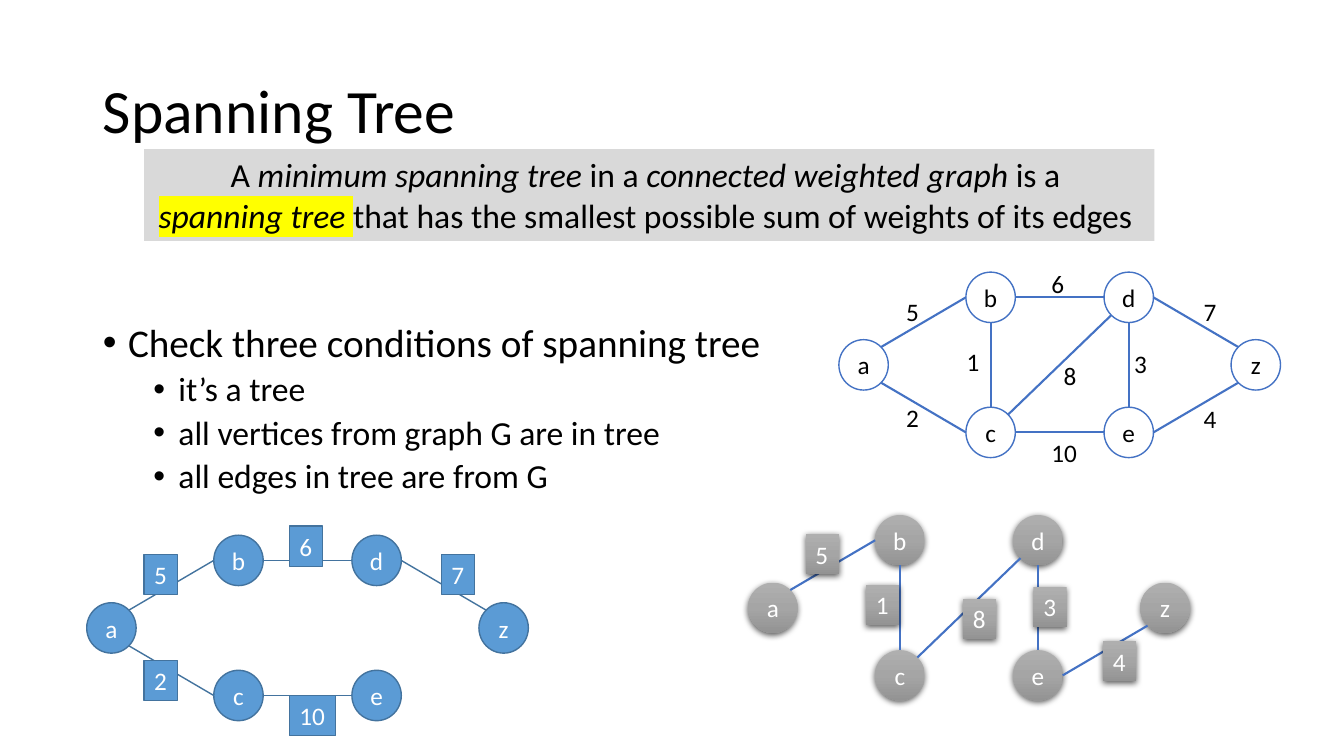
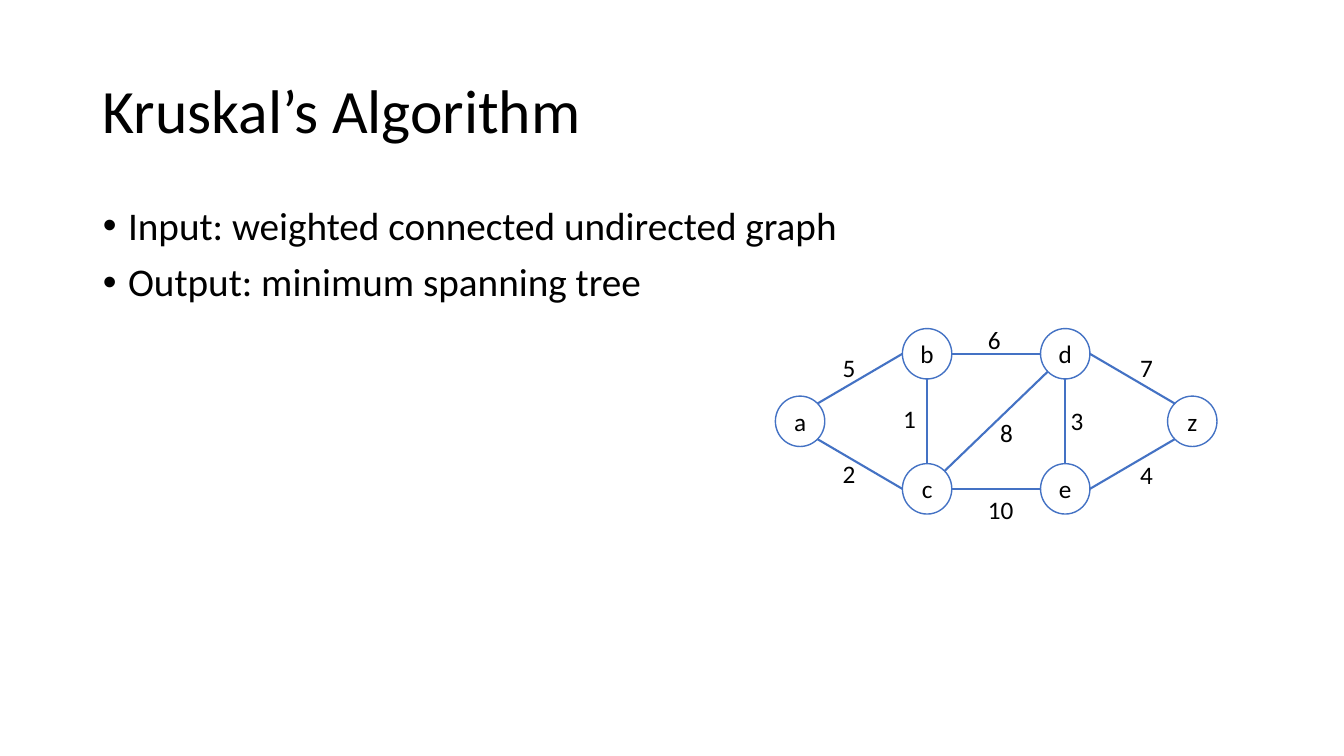
from dataclasses import dataclass
from math import sqrt

from lxml.etree import SubElement
from pptx import Presentation
from pptx.dml.color import RGBColor
from pptx.enum.shapes import MSO_CONNECTOR as Connector, MSO_SHAPE as Shape
from pptx.enum.text import MSO_ANCHOR as Anchor, MSO_AUTO_SIZE as AutoSize, PP_ALIGN as Align
from pptx.oxml.ns import qn
from pptx.util import Inches, Pt

FONT = "Calibri"
BLACK, WHITE, BLUE = "000000", "FFFFFF", "4472C4"
SKY, STEEL, BAND, YELLOW = "5B9BD5", "43739E", "D9D9D9", "FFFF00"
GREYS = {0: "AFAFAF", 50: "A5A5A5", 100: "939393"}

NODE_W, NODE_H = 0.49, 0.5
LABEL_H = 0.4
COLUMNS = (0, 1.26, 2.63, 3.89)
ROWS = (0, 0.67, 1.34)
NODES = {"a": (0, 1), "c": (1, 2), "b": (1, 0), "d": (2, 0), "e": (2, 2), "z": (3, 1)}

DIAGONAL = 1 / sqrt(2)
SITES = {
    "top": (0, -1), "bottom": (0, 1), "left": (-1, 0), "right": (1, 0),
    "top left": (-DIAGONAL, -DIAGONAL), "top right": (DIAGONAL, -DIAGONAL),
    "bottom left": (-DIAGONAL, DIAGONAL), "bottom right": (DIAGONAL, DIAGONAL),
}
EDGES = {
    "bc": ("bottom", "top", "1", 1.17, 0.69),
    "de": ("bottom", "top", "3", 2.83, 0.71),
    "bd": ("right", "left", "6", 2.01, -0.09),
    "ce": ("right", "left", "10", 2.01, 1.59),
    "ab": ("top right", "left", "5", 0.57, 0.19),
    "ac": ("bottom right", "left", "2", 0.57, 1.24),
    "cd": ("top right", "bottom left", "8", 2.13, 0.83),
    "dz": ("right", "top left", "7", 3.52, 0.19),
    "ez": ("right", "bottom left", "4", 3.52, 1.25),
}


@dataclass(frozen=True)
class GraphStyle:
    node_fill: str | None
    outline: str | None
    edge: str
    edge_width: float
    text: str
    boxed_labels: bool


PLAIN = GraphStyle(WHITE, BLUE, BLUE, 1.5, BLACK, False)
FLAT = GraphStyle(SKY, STEEL, STEEL, 1, WHITE, True)
RAISED = GraphStyle(None, None, BLUE, 1.5, WHITE, True)


def rgb(value):
    return RGBColor.from_string(value)


def place(*lengths):
    return [Inches(length) for length in lengths]


def add_run(paragraph, text, size, color=BLACK, italic=None, highlight=None):
    run = paragraph.add_run()
    run.text = text
    run.font.size = Pt(size)
    run.font.name = FONT
    run.font.italic = italic
    run.font.color.rgb = rgb(color)
    if highlight:
        props = run.font._element
        mark = SubElement(props, qn("a:highlight"))
        SubElement(mark, qn("a:srgbClr"), val=highlight)
        props.find(qn("a:solidFill")).addnext(mark)


def set_bullet(paragraph, level):
    props = paragraph._p.get_or_add_pPr()
    props.set("marL", str(Inches(0.25 + 0.5 * level)))
    props.set("indent", str(Inches(-0.25)))
    SubElement(props, qn("a:buFont"), typeface="Arial")
    SubElement(props, qn("a:buChar"), char="•")


def raise_surface(shape):
    shape.fill.gradient()
    shape.fill.gradient_angle = 270
    properties = shape._element.spPr
    stops = properties.find(qn("a:gradFill")).find(qn("a:gsLst"))
    for stop in list(stops):
        stops.remove(stop)
    for percent, color in GREYS.items():
        stop = SubElement(stops, qn("a:gs"), pos=str(percent * 1000))
        SubElement(stop, qn("a:srgbClr"), val=color)
    shadow = SubElement(properties.find(qn("a:effectLst")), qn("a:outerShdw"),
                        blurRad=str(Pt(4.5)), dist=str(Pt(1.5)), dir="5400000",
                        algn="ctr", rotWithShape="0")
    color = SubElement(shadow, qn("a:srgbClr"), val=BLACK)
    SubElement(color, qn("a:alpha"), val="63000")


def paint(shape, style):
    shape.shadow.inherit = False
    if style.outline:
        shape.line.color.rgb = rgb(style.outline)
        shape.line.width = Pt(1)
    else:
        shape.line.fill.background()
    if style.node_fill:
        shape.fill.solid()
        shape.fill.fore_color.rgb = rgb(style.node_fill)
    else:
        raise_surface(shape)


def add_node(shapes, letter, left, top, style):
    node = shapes.add_shape(Shape.OVAL, *place(left, top, NODE_W, NODE_H))
    paint(node, style)
    node.text_frame.vertical_anchor = Anchor.MIDDLE
    paragraph = node.text_frame.paragraphs[0]
    paragraph.alignment = Align.CENTER
    add_run(paragraph, letter, 18, style.text)


def add_edge(shapes, start, end, style):
    edge = shapes.add_connector(Connector.STRAIGHT, *place(*start, *end))
    edge.line.color.rgb = rgb(style.edge)
    edge.line.width = Pt(style.edge_width)
    SubElement(edge._element.spPr, qn("a:effectLst"))


def add_weight(shapes, weight, left, top, style):
    width = 0.2 + 0.13 * len(weight)
    label = shapes.add_textbox(*place(left, top, width, LABEL_H))
    if style.boxed_labels:
        paint(label, style)
    label.text_frame.word_wrap = False
    label.text_frame.auto_size = AutoSize.SHAPE_TO_FIT_TEXT
    add_run(label.text_frame.paragraphs[0], weight, 18, style.text)


def add_graph(slide, left, top, style, edges=tuple(EDGES)):
    shapes = slide.shapes.add_group_shape().shapes
    corners = {letter: (left + COLUMNS[column], top + ROWS[row])
               for letter, (column, row) in NODES.items()}

    def site(letter, side):
        x, y = corners[letter]
        across, down = SITES[side]
        return x + NODE_W / 2 * (1 + across), y + NODE_H / 2 * (1 + down)

    for letter, corner in corners.items():
        add_node(shapes, letter, *corner, style)
    for edge in edges:
        start_side, end_side, *_ = EDGES[edge]
        add_edge(shapes, site(edge[0], start_side), site(edge[1], end_side), style)
    for edge in edges:
        *_, weight, x, y = EDGES[edge]
        add_weight(shapes, weight, left + x, top + y, style)


def move(placeholder, *bounds):
    placeholder.left, placeholder.top, placeholder.width, placeholder.height = place(*bounds)
    placeholder.text_frame.auto_size = AutoSize.NONE


def add_topic_slide(prs, heading, points, points_top=2):
    slide = prs.slides.add_slide(prs.slide_layouts[1])
    title, body = slide.placeholders
    move(title, 0.92, 0.4, 11.5, 1.45)
    title.text_frame.vertical_anchor = Anchor.MIDDLE
    line = title.text_frame.paragraphs[0]
    line.alignment = Align.LEFT
    line.line_spacing = 0.9
    add_run(line, heading, 44)

    move(body, 0.92, points_top, 11.5, 6.76 - points_top)
    for index, (level, text) in enumerate(points):
        frame = body.text_frame
        point = frame.add_paragraph() if index else frame.paragraphs[0]
        point.level = level
        point.line_spacing = 0.9
        point.space_before = Pt(5 if level else 10)
        point.space_after = Pt(0)
        set_bullet(point, level)
        add_run(point, text, 24 if level else 28)
    return slide


def add_definition(slide, lines):
    band = slide.shapes.add_shape(Shape.RECTANGLE, *place(1.43, 1.48, 10.02, 0.91))
    band.shadow.inherit = False
    band.fill.solid()
    band.fill.fore_color.rgb = rgb(BAND)
    band.line.fill.background()
    frame = band.text_frame
    frame.word_wrap = False
    frame.vertical_anchor = Anchor.TOP
    for index, phrases in enumerate(lines):
        line = frame.add_paragraph() if index else frame.paragraphs[0]
        line.alignment = Align.CENTER
        for text, italic, highlight in phrases:
            add_run(line, text, 24, italic=italic, highlight=highlight)


def main():
    prs = Presentation()
    prs.slide_width, prs.slide_height = place(13.33, 7.5)

    spanning = add_topic_slide(prs, "Spanning Tree", [
        (0, "Check three conditions of spanning tree"),
        (1, "it’s a tree"),
        (1, "all vertices from graph G are in tree"),
        (1, "all edges in tree are from G"),
    ], points_top=3.16)
    add_graph(spanning, 8.32, 2.7, PLAIN)
    add_graph(spanning, 0.86, 5.31, FLAT, ("bd", "ce", "ab", "ac", "dz"))
    add_graph(spanning, 7.42, 5.11, RAISED, ("bc", "de", "ab", "cd", "ez"))
    add_definition(spanning, [
        [("A ", False, None), ("minimum spanning tree ", True, None),
         ("in a ", False, None), ("connected weighted graph ", True, None),
         ("is a ", False, None)],
        [("spanning tree ", True, YELLOW),
         ("that has the smallest possible sum of weights of its edges ", False, None)],
    ])

    kruskal = add_topic_slide(prs, "Kruskal’s Algorithm", [
        (0, "Input: weighted connected undirected graph"),
        (0, "Output: minimum spanning tree"),
    ])
    add_graph(kruskal, 7.69, 3.26, PLAIN)

    prs.save("out.pptx")


if __name__ == "__main__":
    main()
